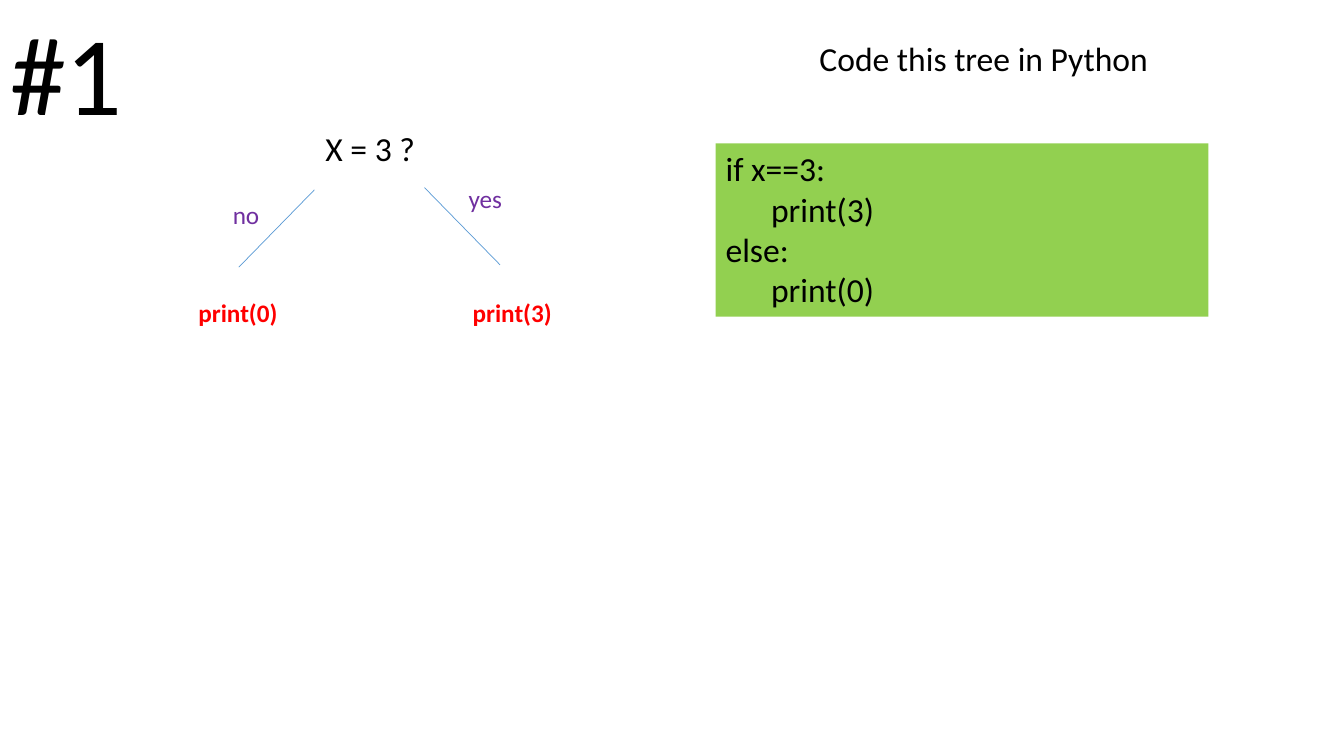
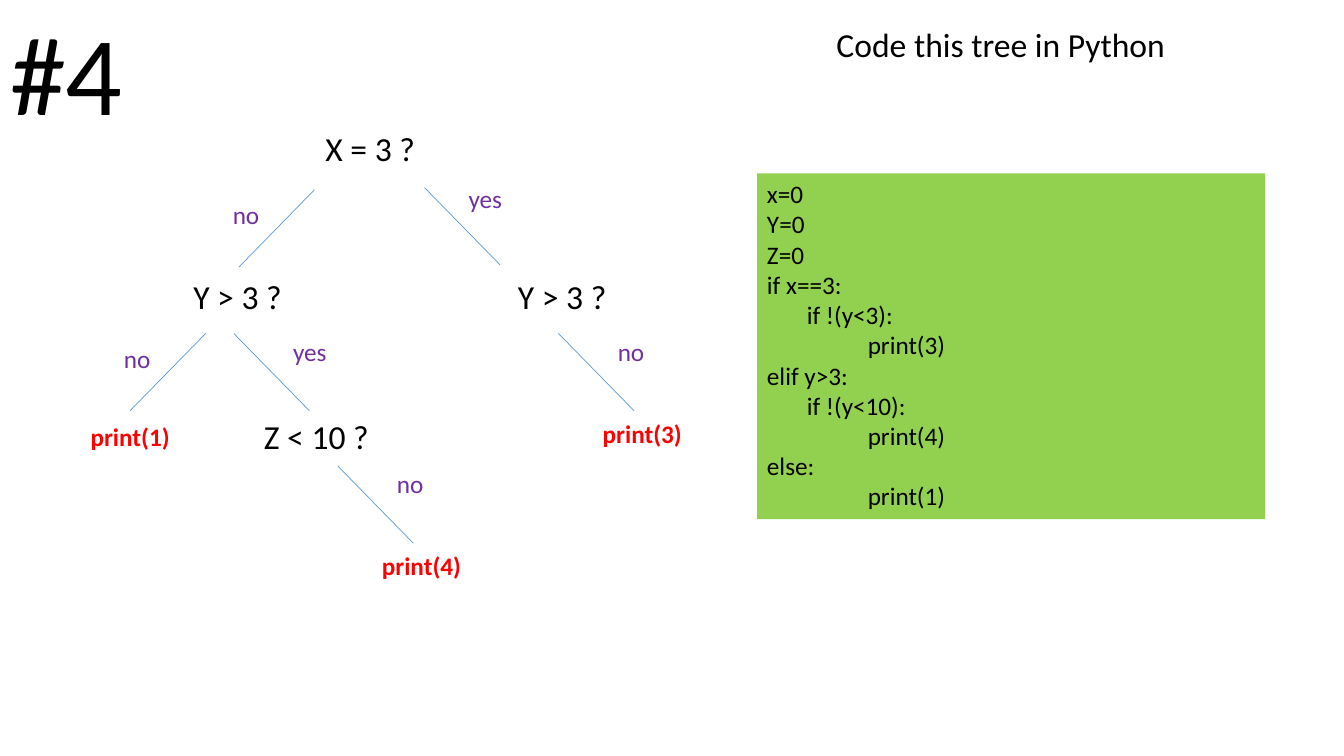
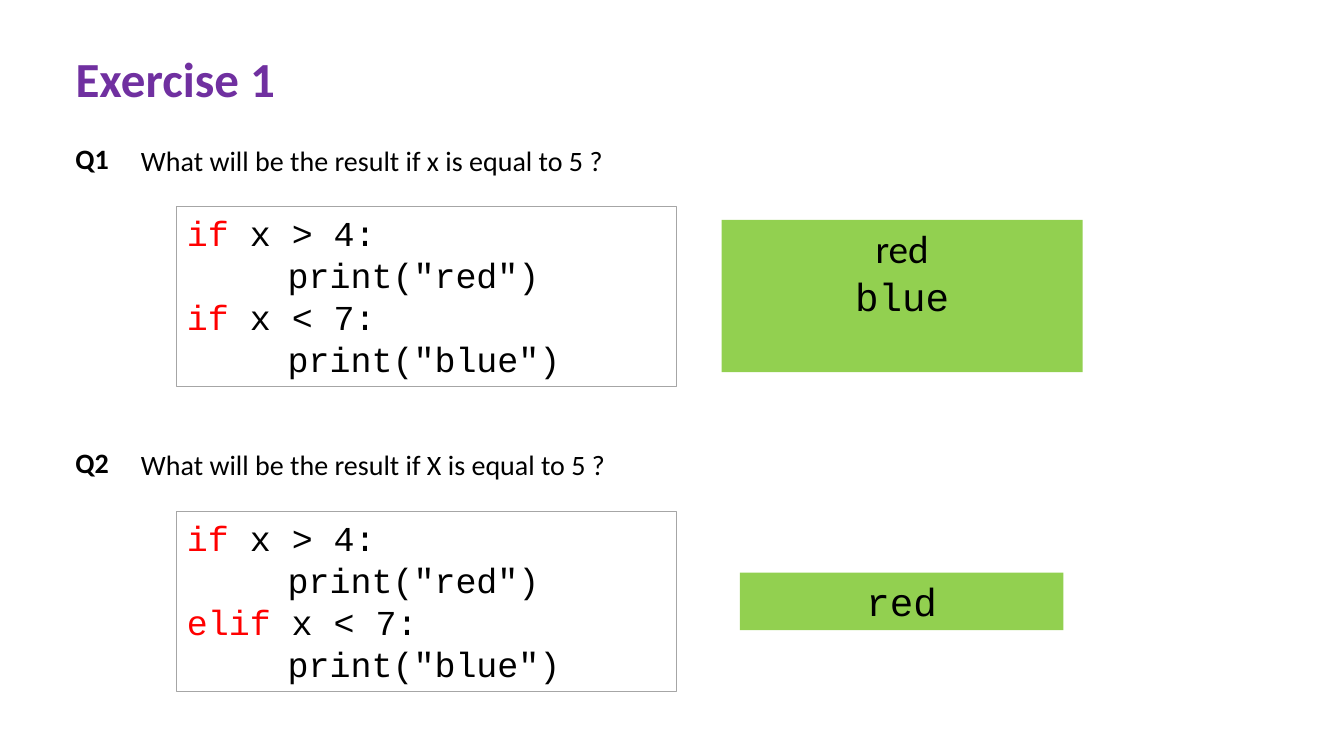
"""Build three slides of exercises on decision trees and Python conditions."""
import lxml.etree
import pptx
import pptx.dml.color
import pptx.enum.shapes
import pptx.enum.text
import pptx.oxml.ns
import pptx.util

Pt = pptx.util.Pt
ALIGN = pptx.enum.text.PP_ALIGN
COLORS = {
    "black": "000000", "purple": "7030A0", "red": "FF0000",
    "green": "92D050", "blue": "5B9BD5", "grey": "A6A6A6",
}


class Deck:
    """Hold the shared style and the current slide, and draw its elements."""

    styles = {
        "number": {"size": 80},
        "heading": {"size": 35, "bold": True, "color": "purple"},
        "question": {"size": 24},
        "choice": {"size": 18, "color": "purple"},
        "output": {"size": 18, "bold": True, "color": "red"},
        "tag": {"size": 20, "bold": True},
        "prompt": {"size": 20},
        "small code": {"size": 18},
        "code": {"size": 25, "name": "Courier New"},
        "answer": {"size": 28, "name": "Courier New"},
    }
    base = {"name": "Calibri", "bold": False, "color": "black"}
    branch_width, branch_height = 54, 55.2

    def __init__(self):
        self.presentation = pptx.Presentation()
        self.presentation.slide_width = Pt(960)
        self.presentation.slide_height = Pt(540)
        self.slide = None

    def rgb(self, color):
        return pptx.dml.color.RGBColor.from_string(COLORS[color])

    def fill_text(self, frame, lines, style, align=ALIGN.LEFT, wrap=False):
        """Fill a frame with lines, each an indent and (text, overrides) pieces."""
        settings = {
            "word_wrap": wrap,
            "auto_size": pptx.enum.text.MSO_AUTO_SIZE.NONE,
            "vertical_anchor": pptx.enum.text.MSO_ANCHOR.TOP,
            "margin_left": Pt(7.2), "margin_right": Pt(7.2),
            "margin_top": Pt(3.6), "margin_bottom": Pt(3.6),
        }
        for key, value in settings.items():
            setattr(frame, key, value)
        for position, (indent, pieces) in enumerate(lines):
            paragraph = frame.add_paragraph() if position else frame.paragraphs[0]
            paragraph.alignment = align
            if indent:
                paragraph._p.get_or_add_pPr().set("marL", str(Pt(indent)))
            for wording, overrides in pieces:
                run = paragraph.add_run()
                run.text = wording
                look = {**self.base, **self.styles[style], **overrides}
                run.font.color.rgb = self.rgb(look.pop("color"))
                look["size"] = Pt(look["size"])
                for key, value in look.items():
                    setattr(run.font, key, value)

    def start(self, title, style, left, top, width, height):
        """Add a slide with its title."""
        layout = self.presentation.slide_layouts[5]
        self.slide = self.presentation.slides.add_slide(layout)
        heading = self.slide.shapes.title
        box = {"left": left, "top": top, "width": width, "height": height}
        for key, value in box.items():
            setattr(heading, key, Pt(value))
        self.fill_text(heading.text_frame, [(0, [(title, {})])], style)

    def label(self, wording, style, left, top, width):
        """Add one line of text."""
        height = self.styles[style]["size"] * 1.22 + 7.2
        box = self.slide.shapes.add_textbox(Pt(left), Pt(top), Pt(width), Pt(height))
        self.fill_text(box.text_frame, [(0, [(wording, {})])], style)

    def choice(self, wording, left, top):
        self.label(wording, "choice", left, top, 39 if wording == "yes" else 33.8)

    def output(self, value, left, top):
        self.label(f"print({value})", "output", left, top, 71.3)

    def branch(self, left, top, side):
        """Draw a branch down to the left (-1) or to the right (1)."""
        line = self.slide.shapes.add_connector(
            pptx.enum.shapes.MSO_CONNECTOR.STRAIGHT, Pt(left), Pt(top),
            Pt(left + side * self.branch_width), Pt(top + self.branch_height))
        line.line.color.rgb = self.rgb("blue")
        line.line.width = Pt(0.5)
        lxml.etree.SubElement(line._element.spPr, pptx.oxml.ns.qn("a:effectLst"))

    def panel(self, lines, style, left, top, width, height,
              fill="green", align=ALIGN.LEFT):
        """Add a filled box, or an outlined one when fill is None."""
        box = self.slide.shapes.add_shape(
            pptx.enum.shapes.MSO_SHAPE.RECTANGLE,
            Pt(left), Pt(top), Pt(width), Pt(height))
        box.shadow.inherit = False
        if fill:
            box.fill.solid()
            box.fill.fore_color.rgb = self.rgb(fill)
            box.line.fill.background()
        else:
            box.fill.background()
            box.line.color.rgb = self.rgb("grey")
            box.line.width = Pt(0.75)
        self.fill_text(box.text_frame, lines, style, align, wrap=True)

    def tree_slide(self, number, task_left, task_top):
        """Start a slide with its task and the top of the tree."""
        self.start(f"#{number}", "number", 0, -1.4, 95.8, 104.4)
        self.label("Code this tree in Python", "question", task_left, task_top, 251.3)
        self.label("X = 3 ?", "question", 225.4, 87.8, 79.2)
        self.branch(224.6, 135.6, -1)
        self.branch(303.2, 134, 1)
        self.choice("no", 159.2, 139)
        self.choice("yes", 327.6, 127.4)

    def exercise(self, tag, variable, second_keyword, top):
        """Add a question with the code that it asks about."""
        self.label(tag, "tag", 46.8, top, 43.2)
        self.label(f"What will be the result if {variable} is equal to 5 ?",
                   "prompt", 93.6, top + 1.4, 349.2)
        lines = []
        for keyword, test, color in (("if", "> 4", "red"),
                                     (second_keyword, "< 7", "blue")):
            lines.append((0, [(keyword, {"color": "red"}), (f" x {test}:", {})]))
            lines.append((72, [(f'print("{color}")', {})]))
        self.panel(lines, "code", 126.4, top + 50.4, 356.8, 128.4, fill=None)


def plain(*lines):
    """Turn (indent, text) pairs into lines of one piece each."""
    return [(indent, [(wording, {})]) for indent, wording in lines]


deck = Deck()

deck.tree_slide(1, 578.2, 23.8)
deck.output(0, 134.6, 208.8)
deck.output(3, 330.5, 208.8)
deck.panel(plain((0, "if x==3:"), (32.5, "print(3)"), (0, "else:"), (32.5, "print(0)")),
           "question", 511.2, 102.4, 352, 123.8)

deck.tree_slide(4, 590.4, 13.7)
for question, left, top, width in (("Y > 3 ?", 131, 193.7, 79.2),
                                   ("Y > 3 ?", 362.9, 193.7, 79.2),
                                   ("Z < 10 ?", 181.4, 293.8, 90)):
    deck.label(question, "question", left, top, width)
for left, top, side in ((146.9, 238.2, -1), (167, 238.2, 1),
                        (398.9, 238.2, 1), (241.2, 332.8, 1)):
    deck.branch(left, top, side)
for choice, left, top in (("no", 81.4, 241.4), ("yes", 202.3, 236.9),
                          ("no", 434.2, 236.9), ("no", 276.5, 331.2)):
    deck.choice(choice, left, top)
for value, left, top in ((1, 57.6, 297.6), (3, 423.4, 295.2), (4, 265.7, 389.7)):
    deck.output(value, left, top)
deck.panel(plain((0, "x=0"), (0, "Y=0"), (0, "Z=0"),
                 (0, "if x==3:"), (28.5, "if !(y<3):"), (72, "print(3)"),
                 (0, "elif y>3:"), (28.5, "if !(y<10):"), (72, "print(4)"),
                 (0, "else:"), (72, "print(1)")),
           "small code", 540.8, 123.9, 362.9, 247)

deck.start("Exercise 1", "heading", 46.8, 31, 158.4, 49.7)
deck.exercise("Q1", "x", "if", 97.2)
deck.exercise("Q2", "X", "elif", 314.9)
deck.panel([(0, [("red", {"name": "Calibri"})]), (0, [("blue", {})])],
           "answer", 515.5, 157, 257.8, 108.9, align=ALIGN.CENTER)
deck.panel(plain((0, "red")), "answer", 528.5, 409, 231.1, 41.2, align=ALIGN.CENTER)

deck.presentation.save("out.pptx")
